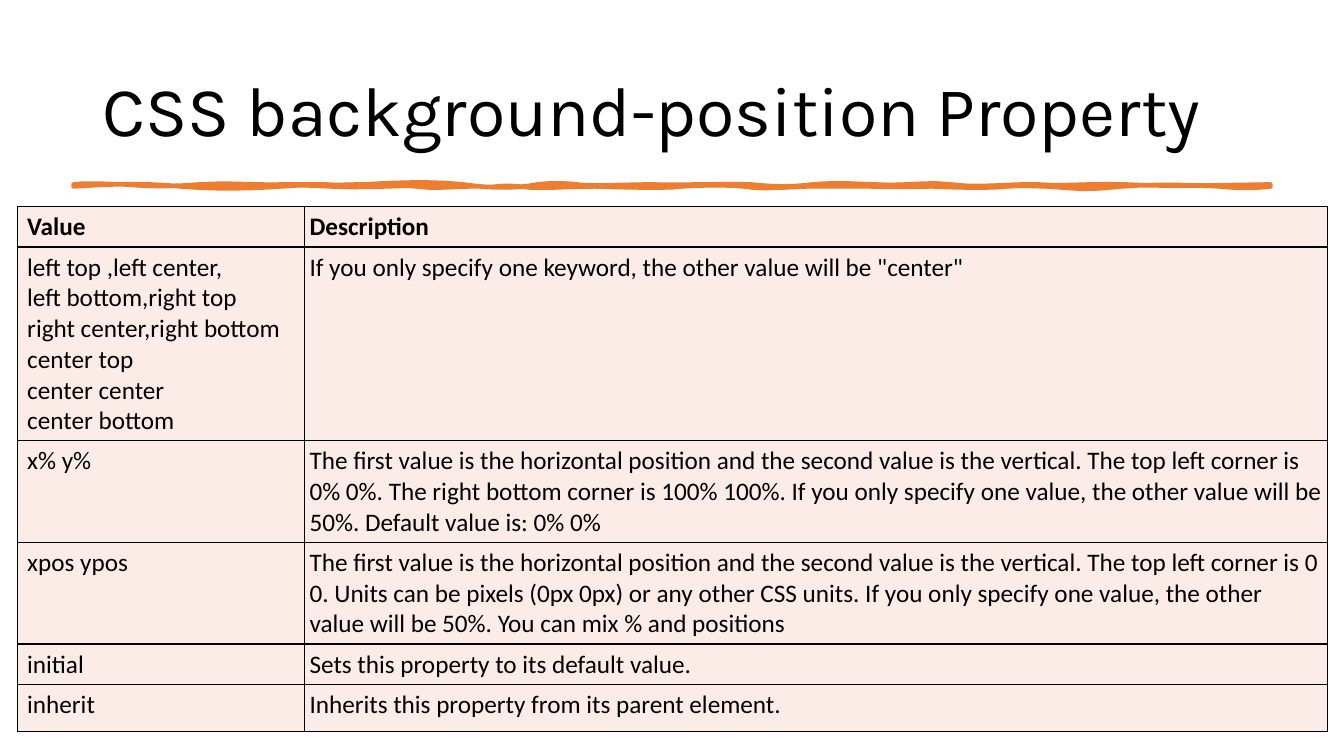
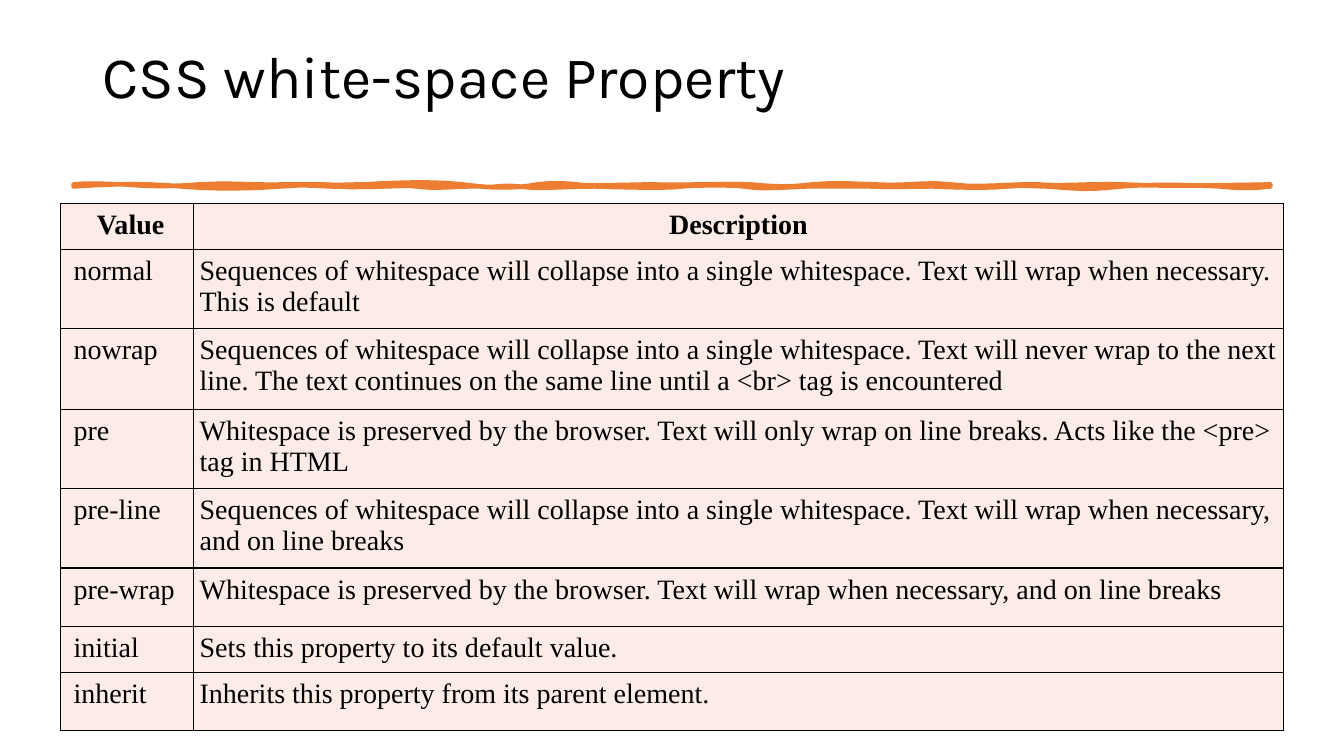
from lxml.etree import SubElement
from pptx import Presentation
from pptx.dml.color import RGBColor
from pptx.enum.text import MSO_ANCHOR, PP_ALIGN
from pptx.oxml.ns import qn
from pptx.util import Pt

PX = 9144  # 100 px to the inch
INK, ORANGE, BLUSH = "000000", "ED7D31", "FCECE8"
TITLE_BOX = (92, 40, 1150, 145)
RULE_BOX = (73, 183, 1187, 2)

# One curve per row: first control x and rise, second control x and rise, end x,
# measured from the left end of the rule and from the edge the curve runs along.
UPPER_EDGE = [
    (16, -2, 38, 0, 51), (63, 1, 89, 3, 125), (161, -2, 178, 1, 211),
    (244, 0, 234, 0, 249), (265, 1, 269, 0, 288), (307, -1, 351, -4, 386),
    (421, 5, 444, 3, 460), (476, -2, 490, -1, 499), (508, 2, 552, 0, 573),
    (594, 1, 650, -1, 671), (692, 2, 709, 3, 733), (757, -2, 765, -1, 795),
    (826, 2, 841, -3, 870), (899, 4, 929, -1, 956), (982, 2, 1005, -1, 1042),
    (1078, 2, 1126, 1, 1187),
]
LOWER_EDGE = [
    (1169, 2, 1157, 2, 1137), (1117, -1, 1076, -3, 1039), (1002, 4, 997, 2, 965),
    (932, -1, 945, -1, 926), (907, 2, 875, 1, 852), (829, 0, 811, 1, 790),
    (768, 0, 755, 0, 727), (700, 1, 684, 3, 665), (646, -2, 615, -1, 603),
    (590, 2, 551, 1, 517), (482, 0, 464, 3, 442), (421, -2, 418, 2, 404),
    (390, -1, 357, 3, 341), (326, -2, 298, 2, 255), (213, -2, 230, -1, 205),
    (180, 2, 140, 3, 107), (74, -3, 45, -3, 0),
]

POSITION_ROWS = [
    (40, "Value", "Description"),
    (192, "left top ,left center,\nleft bottom,right top\nright center,right bottom\n"
          "center top\ncenter center\ncenter bottom",
     'If you only specify one keyword, the other value will be "center"'),
    (101, "x% y%",
     "The first value is the horizontal position and the second value is the vertical. "
     "The top left corner is 0% 0%. The right bottom corner is 100% 100%. If you only "
     "specify one value, the other value will be 50%. Default value is: 0% 0%"),
    (101, "xpos ypos",
     "The first value is the horizontal position and the second value is the vertical. "
     "The top left corner is 0 0. Units can be pixels (0px 0px) or any other CSS units. "
     "If you only specify one value, the other value will be 50%. "
     "You can mix % and positions"),
]
COLLAPSE = "Sequences of whitespace will collapse into a single whitespace. "
PRESERVE = "Whitespace is preserved by the browser. "
WHITE_SPACE_ROWS = [
    (43, "Value", "Description"),
    (74, "normal", COLLAPSE + "Text will wrap when necessary. This is default"),
    (80, "nowrap", COLLAPSE + "Text will never wrap to the next line. The text continues "
                              "on the same line until a <br> tag is encountered"),
    (74, "pre", PRESERVE + "Text will only wrap on line breaks. "
                           "Acts like the <pre> tag in HTML"),
    (74, "pre-line", COLLAPSE + "Text will wrap when necessary, and on line breaks"),
    (58, "pre-wrap", PRESERVE + "Text will wrap when necessary, and on line breaks"),
]


def px(*lengths):
    return [round(length * PX) for length in lengths]


def color(hex_text):
    return RGBColor.from_string(hex_text)


def keyword_rows(initial_height, inherit_height):
    """The two closing rows that every property has."""
    return [
        (initial_height, "initial", "Sets this property to its default value."),
        (inherit_height, "inherit", "Inherits this property from its parent element."),
    ]


def write(frame, text, size, font, bold=False, align=PP_ALIGN.LEFT, spacing=1.0):
    for index, line in enumerate(text.split("\n")):
        paragraph = frame.add_paragraph() if index else frame.paragraphs[0]
        paragraph.alignment = align
        paragraph.line_spacing = spacing
        run = paragraph.add_run()
        run.text = line
        run.font.size = Pt(size)
        run.font.name = font
        run.font.bold = bold
        run.font.color.rgb = color(INK)


def add_title(slide, box, text, size):
    frame = slide.shapes.add_textbox(*px(*box)).text_frame
    frame.word_wrap = True
    frame.vertical_anchor = MSO_ANCHOR.MIDDLE
    write(frame, text, size, "Karla", spacing=0.9)


def curve_points(start_x, edge_y, curves, steps=6):
    points = []
    for x1, rise1, x2, rise2, end_x in curves:
        for step in range(1, steps + 1):
            t = step / steps
            near, far = 3 * t * (1 - t) ** 2, 3 * t * t * (1 - t)
            x = start_x * (1 - t) ** 3 + x1 * near + x2 * far + end_x * t ** 3
            points.append((x, edge_y + rise1 * near + rise2 * far))
        start_x = end_x
    return points


def add_brush_rule(slide, box):
    left, top, width, height = box
    outline = curve_points(0, 0, UPPER_EDGE) + [(width, height)]
    outline += curve_points(width, height, LOWER_EDGE)
    builder = slide.shapes.build_freeform(*px(left, top))
    builder.add_line_segments([px(left + x, top + y) for x, y in outline], close=True)
    rule = builder.convert_to_shape()
    rule.shadow.inherit = False
    rule.fill.solid()
    rule.fill.fore_color.rgb = color(ORANGE)
    rule.line.color.rgb = color(ORANGE)
    rule.line.width = Pt(3.25)


def set_borders(cell):
    properties = cell._tc.get_or_add_tcPr()
    for side in ("a:lnL", "a:lnR", "a:lnT", "a:lnB"):
        border = SubElement(properties, qn(side), w=str(Pt(1)))
        SubElement(SubElement(border, qn("a:solidFill")), qn("a:srgbClr"), val=INK)


def add_value_table(slide, left, top, widths, rows, size, font, inset, indent, header_align):
    height = sum(row[0] for row in rows)
    table = slide.shapes.add_table(
        len(rows), len(widths), *px(left, top, sum(widths), height)).table
    table.first_row = table.horz_banding = False
    for column, width in zip(table.columns, px(*widths)):
        column.width = width
    for row_index, (row_height, *texts) in enumerate(rows):
        table.rows[row_index].height = px(row_height)[0]
        header = row_index == 0
        for column_index, text in enumerate(texts):
            cell = table.cell(row_index, column_index)
            set_borders(cell)
            cell.fill.solid()
            cell.fill.fore_color.rgb = color(BLUSH)
            cell.margin_left = px(inset if column_index else indent)[0]
            cell.margin_right = cell.margin_top = cell.margin_bottom = px(inset)[0]
            write(cell.text_frame, text, size, font, bold=header,
                  align=header_align if header else PP_ALIGN.LEFT)


def add_property_slide(deck, title, title_size, title_box, **table_format):
    slide = deck.slides.add_slide(deck.slide_layouts[6])
    add_title(slide, title_box, title, title_size)
    add_brush_rule(slide, RULE_BOX)
    add_value_table(slide, **table_format)


def main():
    deck = Presentation()
    deck.slide_width, deck.slide_height = px(1333, 750)
    add_property_slide(
        deck, "CSS background-position Property", 50, TITLE_BOX,
        left=17, top=205, widths=(285, 1015), rows=POSITION_ROWS + keyword_rows(40, 47),
        size=18, font="Calibri", inset=5, indent=10, header_align=PP_ALIGN.LEFT)
    add_property_slide(
        deck, "CSS white-space Property", 42, TITLE_BOX[:3] + (78,),
        left=60, top=202, widths=(132, 1081), rows=WHITE_SPACE_ROWS + keyword_rows(43, 58),
        size=20, font="Times New Roman", inset=6, indent=13, header_align=PP_ALIGN.CENTER)
    deck.save("out.pptx")


if __name__ == "__main__":
    main()
